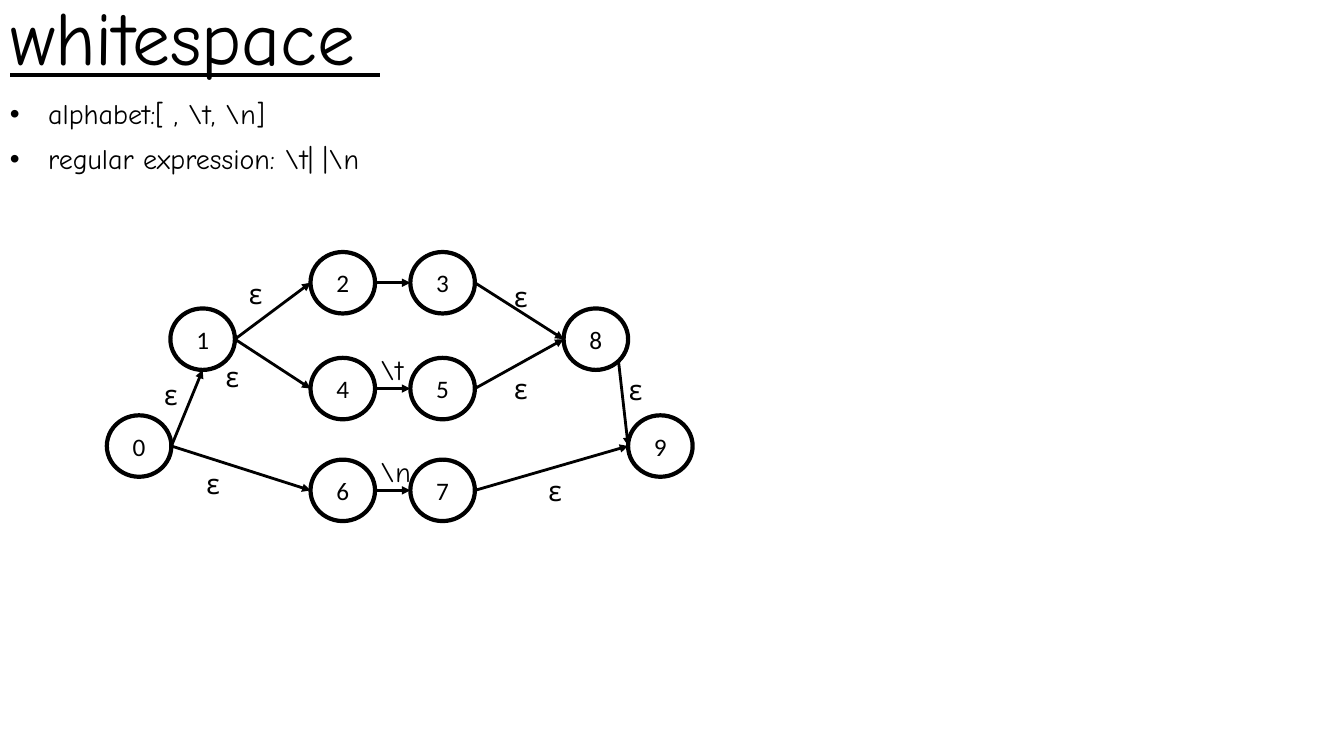
"""Build the slide with the whitespace automaton."""
from lxml import etree
from pptx import Presentation, util as u
from pptx.dml import color
from pptx.enum import shapes, text
from pptx.oxml import ns


def tint(code):
    return color.RGBColor.from_string(code)


def write(frame, lines, size=20, font="Comic Neue", align="LEFT", anchor="TOP",
          line=0.9, gap=10, under=None, bullet=None):
    frame.word_wrap = True
    frame.auto_size = text.MSO_AUTO_SIZE.NONE
    frame.vertical_anchor = text.MSO_ANCHOR[anchor]
    for row, words in enumerate(lines):
        para = frame.add_paragraph() if row else frame.paragraphs[0]
        para.alignment = text.PP_ALIGN[align]
        para.line_spacing = line
        para.space_before = u.Pt(gap if row else 0)
        if bullet:
            props = para._p.get_or_add_pPr()
            props.set("marL", str(u.Inches(0.38)))
            props.set("indent", str(-u.Inches(0.38)))
            etree.SubElement(props, ns.qn("a:buFont"), typeface="Arial")
            etree.SubElement(props, ns.qn("a:buChar"), char=bullet)
        run = para.add_run()
        run.text = words
        run.font.size = u.Pt(size)
        run.font.name = font
        run.font.underline = under
        run.font.color.rgb = tint("000000")


deck = Presentation()
deck.slide_width, deck.slide_height = u.Inches(13.33), u.Inches(7.5)
slide = deck.slides.add_slide(deck.slide_layouts[5])
items = slide.shapes

title = items.title
title.left, title.top = 0, 0
title.width, title.height = u.Inches(10), u.Inches(0.86)
write(title.text_frame, ["whitespace "], size=54, anchor="BOTTOM", under=True)

notes = items.add_textbox(0, u.Inches(0.95), deck.slide_width, u.Inches(1.05))
write(notes.text_frame, [r"alphabet:[ , \t, \n]", r"regular expression: \t| |\n"],
      bullet="•")

wide, high = 0.64, 0.61
cols = [1.06, 1.69, 3.08, 4.07, 5.59, 6.23]
rows = [2.5, 3.06, 3.55, 4.12, 4.56]
cells = [(0, 3), (1, 1), (2, 0), (3, 0), (2, 2), (3, 2), (2, 4), (3, 4), (4, 1), (5, 3)]
spots = [(cols[col], rows[row]) for col, row in cells]
for state, (left, top) in enumerate(spots):
    node = items.add_shape(shapes.MSO_SHAPE.OVAL, u.Inches(left), u.Inches(top),
                           u.Inches(wide), u.Inches(high))
    node.shadow.inherit = False
    node.fill.background()
    node.line.color.rgb = tint("000000")
    node.line.width = u.Pt(3)
    write(node.text_frame, [str(state)], size=18, font="Calibri", align="CENTER",
          anchor="MIDDLE", line=1.0)

sides = {"left": (0, 0.5), "right": (1, 0.5), "base": (0.5, 1), "corner": (0.85, 0.85)}
edges = [(0, 1, "right", "base"), (8, 9, "corner", "left")]
pairs = [(0, 6), (1, 2), (1, 4), (2, 3), (4, 5), (6, 7), (3, 8), (5, 8), (7, 9)]
edges += [(start, end, "right", "left") for start, end in pairs]
for start, end, *ports in edges:
    ends = []
    for state, port in zip((start, end), ports):
        across, down = sides[port]
        left, top = spots[state]
        ends += [u.Inches(left + across * wide), u.Inches(top + down * high)]
    arrow = items.add_connector(shapes.MSO_CONNECTOR.STRAIGHT, *ends)
    arrow.line.color.rgb = tint("000000")
    arrow.line.width = u.Pt(2)
    etree.SubElement(arrow.line._get_or_add_ln(), ns.qn("a:tailEnd"), type="triangle")
    etree.SubElement(arrow._element.spPr, ns.qn("a:effectLst"))

marks = [(r"\t", 3.67, 3.49, 0.55, 0.69), (r"\n", 3.67, 4.5, 0.55, 0.69)]
places = [(1.53, 3.73), (2.37, 2.73), (2.14, 3.55), (5, 2.76),
          (5, 3.67), (5.34, 4.69), (1.95, 4.62), (6.14, 3.68)]
marks += [("ε", left, top, 0.5, 0.61) for left, top in places]
for mark, *box in marks:
    label = items.add_textbox(*map(u.Inches, box))
    write(label.text_frame, [mark])

deck.save("out.pptx")
